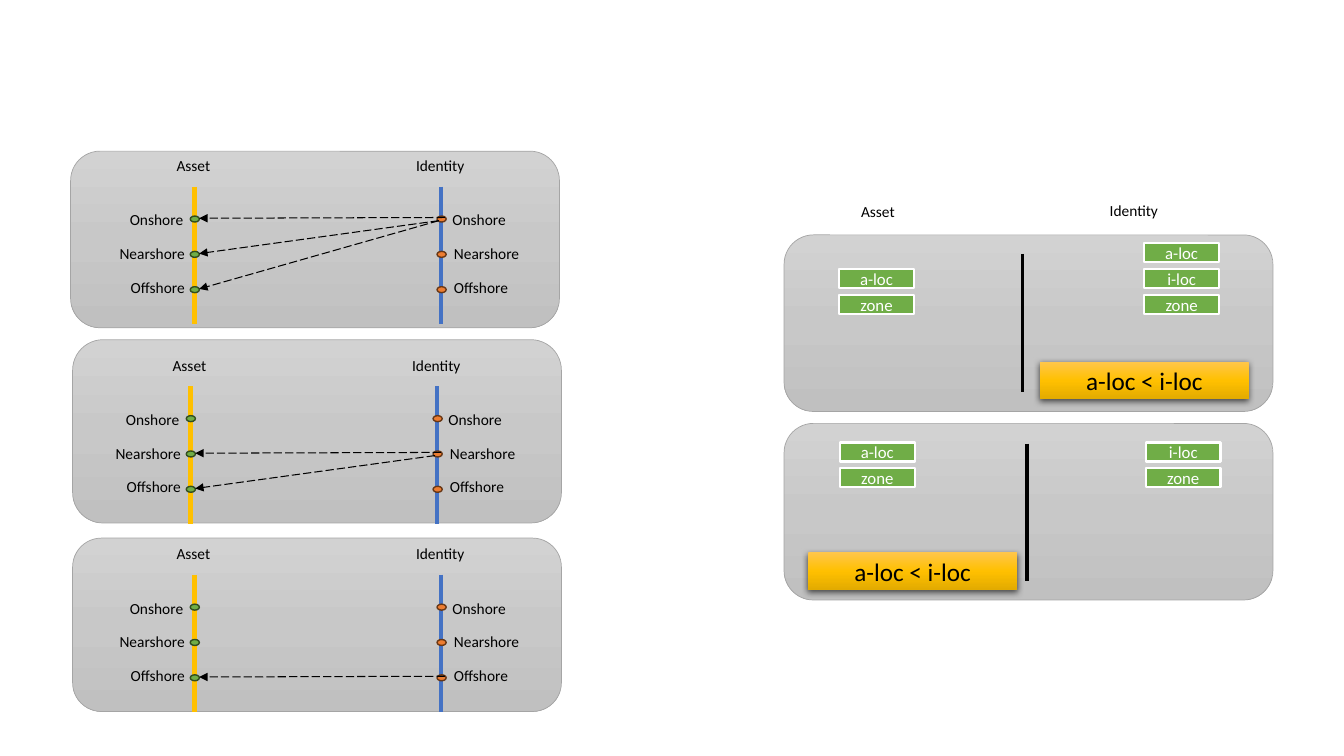
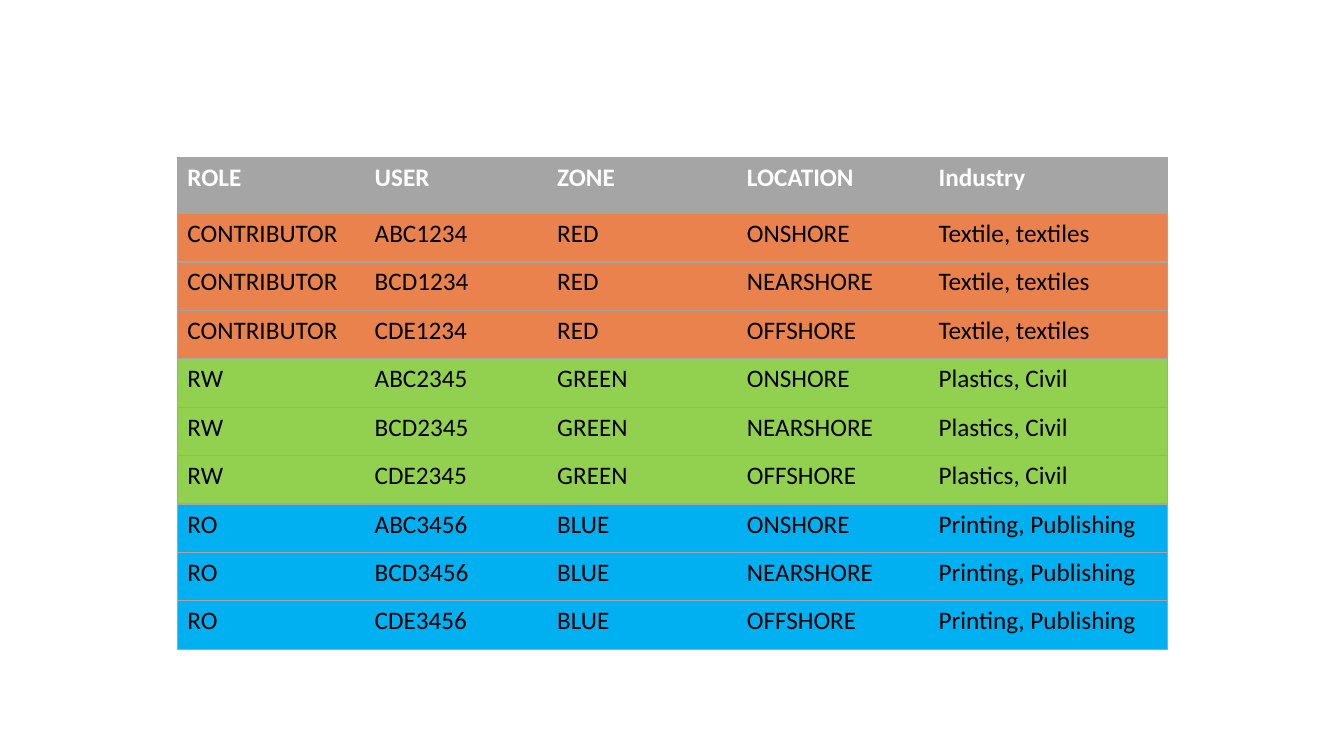
"""Build two slides: location access diagrams and a role table."""
from copy import deepcopy

from lxml.etree import SubElement
from pptx import Presentation
from pptx.dml.color import RGBColor
from pptx.enum.dml import MSO_LINE
from pptx.enum.shapes import MSO_CONNECTOR, MSO_SHAPE
from pptx.enum.text import MSO_ANCHOR, PP_ALIGN
from pptx.oxml.ns import qn
from pptx.util import Cm, Pt

COLORS = {
    "black": "000000", "white": "FFFFFF", "grey": "A5A5A5",
    "gold": "FFC000", "blue": "4472C4",
    "green": "70AD47", "green edge": "314C1F",
    "orange": "ED7D31", "orange edge": "683715",
    "red zone": "E9824D", "green zone": "92D050", "blue zone": "00B0F0",
}
PANEL_GRADIENT = ["D2D2D2", "C8C8C8", "C0C0C0"]
NOTE_GRADIENT = ["FFC64B", "FFC000", "E3AB00"]
FONT = "Calibri"
LOCATIONS = ["Onshore", "Nearshore", "Offshore"]


def write(frame, text, size=11, color="black", align=PP_ALIGN.CENTER, bold=False):
    """Put one formatted paragraph in a text frame."""
    frame.word_wrap = True
    para = frame.paragraphs[0]
    para.alignment = align
    span = para.add_run()
    span.text = text
    span.font.name = FONT
    span.font.size = Pt(size)
    span.font.bold = bold
    span.font.color.rgb = RGBColor.from_string(COLORS[color])


def connect(page, start, end, color="black", width=2.25, arrow=False):
    """Draw a straight line, or a dashed arrow, between points in centimetres."""
    line = page.shapes.add_connector(
        MSO_CONNECTOR.STRAIGHT, *[Cm(value) for value in (*start, *end)])
    line.line.color.rgb = RGBColor.from_string(COLORS[color])
    line.line.width = Pt(width)
    if arrow:
        line.line.dash_style = MSO_LINE.LONG_DASH
        SubElement(line.line._ln, qn("a:tailEnd"), type="triangle")
    SubElement(line._element.spPr, qn("a:effectLst"))


deck = Presentation()
deck.slide_width, deck.slide_height = Cm(33.87), Cm(19.05)
blank = deck.slide_layouts[6]

page = deck.slides.add_slide(blank)
blocks = [
    (1.78, 3.81, 12.32, 4.45, ""),
    (1.83, 8.56, 12.32, 4.62, ""),
    (1.83, 13.56, 12.32, 4.37, ""),
    (19.76, 5.92, 12.32, 4.45, ""),
    (19.76, 10.67, 12.32, 4.45, ""),
    (20.37, 13.92, 5.26, 0.94, "a-loc < i-loc"),
    (26.21, 9.12, 5.26, 0.94, "a-loc < i-loc"),
]
for *place, note in blocks:
    kind = MSO_SHAPE.RECTANGLE if note else MSO_SHAPE.ROUNDED_RECTANGLE
    block = page.shapes.add_shape(kind, *[Cm(value) for value in place])
    block.shadow.inherit = False
    block.fill.gradient()
    block.fill.gradient_angle = 270
    properties = block._element.spPr
    stops = properties.find(".//" + qn("a:gsLst"))
    stops.insert(1, deepcopy(stops[0]))
    gradient = NOTE_GRADIENT if note else PANEL_GRADIENT
    for index, stop in enumerate(block.fill.gradient_stops):
        stop.color.rgb = RGBColor.from_string(gradient[index])
        stop.position = index / 2
    if note:
        block.line.fill.background()
        shadow = SubElement(properties.find(qn("a:effectLst")), qn("a:outerShdw"),
                            blurRad="57150", dist="19050", dir="5400000",
                            algn="ctr", rotWithShape="0")
        shade = SubElement(shadow, qn("a:srgbClr"), val=COLORS["black"])
        SubElement(shade, qn("a:alpha"), val="63000")
        block.text_frame.vertical_anchor = MSO_ANCHOR.MIDDLE
        write(block.text_frame, note, size=18)
    else:
        block.line.color.rgb = RGBColor.from_string(COLORS["grey"])
        block.line.width = Pt(0.5)

LABEL_WIDTH, LABEL_HEIGHT = 2.49, 0.74
AXIS_GAP, AXIS_LENGTH = 6.22, 3.47
DOT_WIDTH, DOT_HEIGHT = 0.23, 0.15
dot_rows = [0.82 + 0.89 * row for row in range(3)]
labels = [
    ("Asset", 20.88, 4.98, PP_ALIGN.CENTER),
    ("Identity", 27.33, 4.95, PP_ALIGN.CENTER),
]
for source, (left, top) in enumerate([(4.9, 4.7), (4.8, 9.73), (4.9, 14.48)]):
    sides = [
        ("Identity", left + AXIS_GAP, "blue", "orange", 0.03, PP_ALIGN.LEFT),
        ("Asset", left, "gold", "green", -2.52, PP_ALIGN.RIGHT),
    ]
    for heading, axis, axis_color, dot_color, offset, align in sides:
        connect(page, (axis, top), (axis, top + AXIS_LENGTH), axis_color, width=3)
        labels.append((heading, axis - 1.27, top - 0.89, PP_ALIGN.CENTER))
        for row, location in enumerate(LOCATIONS):
            dot = page.shapes.add_shape(
                MSO_SHAPE.OVAL, Cm(axis + 0.01 - DOT_WIDTH / 2),
                Cm(top + dot_rows[row] - DOT_HEIGHT / 2),
                Cm(DOT_WIDTH), Cm(DOT_HEIGHT))
            dot.shadow.inherit = False
            dot.fill.solid()
            dot.fill.fore_color.rgb = RGBColor.from_string(COLORS[dot_color])
            dot.line.color.rgb = RGBColor.from_string(COLORS[dot_color + " edge"])
            dot.line.width = Pt(1)
            indent = 0.04 if row else 0
            labels.append((location, axis + offset + indent,
                           top + 0.48 + 0.85 * row, align))
    for target in range(source, 3):
        reach, shift = (6.31, -0.04) if target == source else (6.16, 0.04)
        connect(page, (left + reach, top + dot_rows[source] + shift),
                (left + 0.12, top + dot_rows[target] - 0.02), width=0.75, arrow=True)

for text, left, top, align in labels:
    box = page.shapes.add_textbox(Cm(left), Cm(top), Cm(LABEL_WIDTH), Cm(LABEL_HEIGHT))
    write(box.text_frame, text, align=align)

for left, top in [(25.88, 11.18), (25.76, 6.4)]:
    connect(page, (left, top), (left, top + AXIS_LENGTH))

tag_stacks = [
    (21.15, 6.78, ["a-loc", "zone"]),
    (28.84, 6.13, ["a-loc", "i-loc", "zone"]),
    (21.17, 11.15, ["a-loc", "zone"]),
    (28.88, 11.15, ["i-loc", "zone"]),
]
for left, top, names in tag_stacks:
    for row, name in enumerate(names):
        tag = page.shapes.add_shape(MSO_SHAPE.RECTANGLE, Cm(left),
                                    Cm(top + 0.65 * row), Cm(1.88), Cm(0.48))
        tag.shadow.inherit = False
        tag.fill.solid()
        tag.fill.fore_color.rgb = RGBColor.from_string(COLORS["green"])
        tag.line.color.rgb = RGBColor.from_string(COLORS["white"])
        tag.line.width = Pt(1.5)
        tag.text_frame.margin_top = tag.text_frame.margin_bottom = 0
        tag.text_frame.vertical_anchor = MSO_ANCHOR.MIDDLE
        write(tag.text_frame, name, size=12, color="white")

page = deck.slides.add_slide(blank)
groups = [
    ("CONTRIBUTOR", "1234", "RED", "Textile, textiles"),
    ("RW", "2345", "GREEN", "Plastics, Civil"),
    ("RO", "3456", "BLUE", "Printing, Publishing"),
]
records = [("grey", ["ROLE", "USER", "ZONE", "LOCATION", "Industry"])]
for role, number, zone, industry in groups:
    for prefix, location in zip(["ABC", "BCD", "CDE"], LOCATIONS):
        records.append((zone.lower() + " zone",
                        [role, prefix + number, zone, location.upper(), industry]))

widths = [4.72, 4.6, 4.78, 4.83, 6.02]
heights = [1.42] + [1.22] * 9
frame = page.shapes.add_table(len(heights), len(widths), Cm(4.47), Cm(3.96),
                              Cm(sum(widths)), Cm(sum(heights)))
table = frame.table
style = table._tbl.tblPr.find(qn("a:tableStyleId"))
style.text = "{2D5ABB26-0587-4C30-8999-92F81FD0307C}"
for column, width in zip(table.columns, widths):
    column.width = Cm(width)
for row, (fill_color, values) in enumerate(records):
    table.rows[row].height = Cm(heights[row])
    for column, value in enumerate(values):
        cell = table.cell(row, column)
        edges = ["a:lnT", "a:lnB"]
        if column == 0:
            edges.insert(0, "a:lnL")
        if column == len(widths) - 1:
            edges.insert(0, "a:lnR")
        for edge in edges:
            border = SubElement(cell._tc.get_or_add_tcPr(), qn(edge), w="12700")
            paint = SubElement(border, qn("a:solidFill"))
            SubElement(paint, qn("a:srgbClr"), val=COLORS["grey"])
        cell.fill.solid()
        cell.fill.fore_color.rgb = RGBColor.from_string(COLORS[fill_color])
        write(cell.text_frame, value, size=18, align=PP_ALIGN.LEFT,
              color="black" if row else "white", bold=row == 0)

deck.save("out.pptx")
